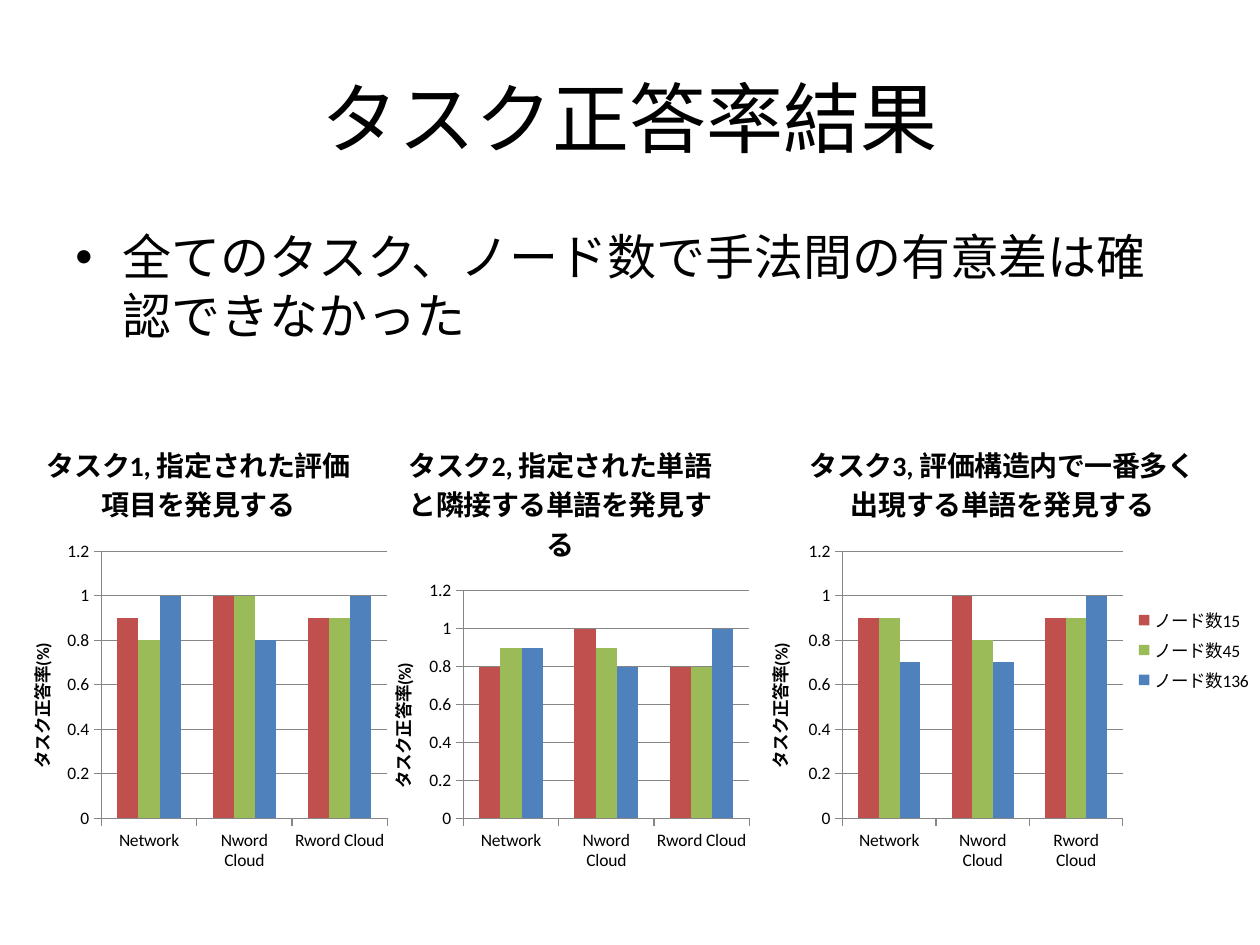
from lxml import etree
from pptx import Presentation
from pptx.chart import data
from pptx.dml.color import RGBColor
from pptx.enum import chart as kinds, text
from pptx.oxml.ns import qn
from pptx.util import Pt

FONT = "Calibri"
BLACK = RGBColor(0x00, 0x00, 0x00)
GREY = RGBColor(0x86, 0x86, 0x86)
RED = RGBColor(0xC0, 0x50, 0x4D)
GREEN = RGBColor(0x9B, 0xBB, 0x59)
BLUE = RGBColor(0x4F, 0x81, 0xBD)

METHODS = ["Network", "Nword Cloud", "Rword Cloud"]
SERIES_COLORS = [BLUE, RED, GREEN]
PLAIN_NAMES = ["Series 1", "Series 2", "Series 3"]
NODE_NAMES = ["ノード数136", "ノード数15", "ノード数45"]
CHART_TOP, CHART_HEIGHT = 240.5, 262
TASKS = [
    (1, 224.8, "タスク1, 指定された評価項目を発見する", PLAIN_NAMES,
     [(1, 0.8, 1), (0.9, 1, 0.9), (0.8, 1, 0.9)], False),
    (207.8, 224.8, "タスク2, 指定された単語と隣接する単語を発見する", PLAIN_NAMES,
     [(0.9, 0.8, 1), (0.8, 1, 0.8), (0.9, 0.9, 0.8)], False),
    (423, 299.8, "タスク3, 評価構造内で一番多く出現する単語を発見する", NODE_NAMES,
     [(0.7, 0.7, 1), (0.9, 1, 0.9), (0.9, 0.8, 0.9)], True),
]


def set_font(font, size, bold=False):
    font.name = FONT
    font.size = Pt(size)
    font.bold = bold
    font.color.rgb = BLACK


def place_title(page, box, wording):
    title = page.shapes.title
    title.left, title.top, title.width, title.height = map(Pt, box)
    frame = title.text_frame
    frame.text = wording
    frame.vertical_anchor = text.MSO_ANCHOR.MIDDLE
    para = frame.paragraphs[0]
    para.alignment = text.PP_ALIGN.CENTER
    set_font(para.font, 44)


def add_finding(page, box, wording):
    frame = page.shapes.add_textbox(*map(Pt, box)).text_frame
    frame.word_wrap = True
    para = frame.paragraphs[0]
    para.text = wording
    para.space_before = Pt(6)
    set_font(para.font, 28)
    properties = para._p.get_or_add_pPr()
    properties.set("marL", str(Pt(27)))
    properties.set("indent", str(Pt(-27)))
    bullet_font = etree.Element(qn("a:buFont"), typeface="Arial")
    bullet = etree.Element(qn("a:buChar"), char="•")
    spacing = properties.find(qn("a:spcBef"))
    spacing.addnext(bullet_font)
    bullet_font.addnext(bullet)


def set_heading(owner, wording, size):
    frame = owner.text_frame
    frame.text = wording
    set_font(frame.paragraphs[0].font, size, bold=True)


def add_task_chart(page, box, heading, names, rates, with_legend):
    source = data.CategoryChartData()
    source.categories = METHODS
    for name, values in zip(names, rates):
        source.add_series(name, values)
    chart = page.shapes.add_chart(
        kinds.XL_CHART_TYPE.COLUMN_CLUSTERED, *map(Pt, box), source).chart
    set_font(chart.font, 10)
    chart.has_title = True
    set_heading(chart.chart_title, heading, 16)
    chart.chart_title.include_in_layout = False

    chart.has_legend = with_legend
    if with_legend:
        chart.legend.position = kinds.XL_LEGEND_POSITION.RIGHT
        chart.legend.include_in_layout = False

    plot = chart.plots[0]
    plot.gap_width = 150
    plot.vary_by_categories = False
    columns = list(plot.series)
    for series, color in zip(columns, SERIES_COLORS):
        series.format.fill.solid()
        series.format.fill.fore_color.rgb = color
    columns[-1]._element.addnext(columns[0]._element)

    value_axis = chart.value_axis
    value_axis.has_major_gridlines = True
    set_heading(value_axis.axis_title, "タスク正答率(%)", 10)
    for axis in (value_axis, chart.category_axis):
        axis.major_tick_mark = kinds.XL_TICK_MARK.OUTSIDE
    for part in (value_axis, chart.category_axis, value_axis.major_gridlines):
        part.format.line.color.rgb = GREY
        part.format.line.width = Pt(0.75)


def main():
    deck = Presentation()
    deck.slide_width, deck.slide_height = Pt(720), Pt(540)
    page = deck.slides.add_slide(deck.slide_layouts[5])
    place_title(page, (36, 21.6, 648, 90), "タスク正答率結果")
    for left, width, heading, names, rates, with_legend in TASKS:
        box = (left, CHART_TOP, width, CHART_HEIGHT)
        add_task_chart(page, box, heading, names, rates, with_legend)
    add_finding(page, (36, 126, 648, 356.4),
                "全てのタスク、ノード数で手法間の有意差は確認できなかった")
    deck.save("out.pptx")


if __name__ == "__main__":
    main()
